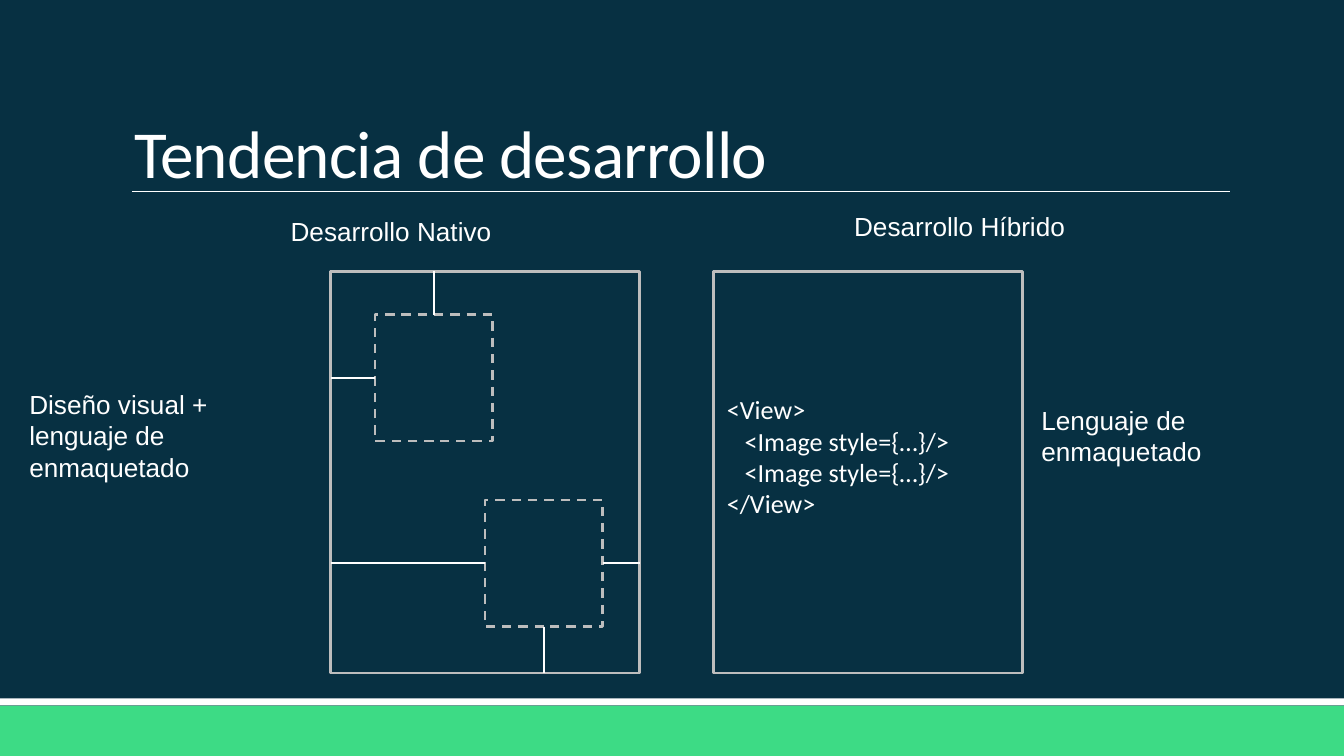
from typing import NamedTuple

from lxml.etree import SubElement
from pptx import Presentation
from pptx.dml.color import RGBColor
from pptx.enum.dml import MSO_LINE_DASH_STYLE as Dash
from pptx.enum.shapes import MSO_CONNECTOR as Connector, MSO_SHAPE as Preset
from pptx.enum.text import MSO_ANCHOR as Anchor, PP_ALIGN as Align
from pptx.oxml.ns import qn
from pptx.util import Pt

NAVY, GREEN, WHITE, GREY = "073042", "3DDB85", "FFFFFF", "BDBDBD"
TOP, LEFT, BOTTOM, RIGHT = range(4)


class Area(NamedTuple):
    left: float
    top: float
    width: float
    height: float

    @property
    def right(self) -> float:
        return self.left + self.width

    @property
    def bottom(self) -> float:
        return self.top + self.height

    def side_middle(self, side: int) -> tuple[float, float]:
        x, y = self.left + self.width / 2, self.top + self.height / 2
        return [(x, self.top), (self.left, y), (x, self.bottom), (self.right, y)][side]


class Label(NamedTuple):
    text: str
    area: Area
    align: Align


class Widget(NamedTuple):
    """A dashed box and the sides that are tied to the screen's edges."""
    area: Area
    sides: tuple[int, ...]


PAGE = Area(0, 0, 720, 405)
NATIVE = Area(177.1, 145.4, 165.6, 215.3)
HYBRID = NATIVE._replace(left=382.3)
WIDGETS = [
    Widget(Area(200.9, 168.5, 62.9, 67.9), (LEFT, TOP)),
    Widget(Area(259.9, 267.8, 62.9, 67.9), (BOTTOM, RIGHT, LEFT)),
]
LABELS = [
    Label("Desarrollo Nativo", Area(64.8, 111.6, 289.4, 24.5), Align.CENTER),
    Label("Desarrollo Híbrido", Area(369.4, 109.2, 289.4, 24.5), Align.CENTER),
    Label("Diseño visual + lenguaje de enmaquetado", Area(8.6, 204.5, 157, 58.3), Align.LEFT),
    Label("Lenguaje de enmaquetado", Area(550.8, 213.1, 154.8, 41), Align.LEFT),
]
CODE = [("<View>", 0), ("<Image style={…}/>", 1), ("<Image style={…}/>", 1), ("</View>", 0)]
CODE_INDENT = 9.5


def paint(target, color: str) -> None:
    """Fill a shape, line or background with one solid colour."""
    target.fill.solid()
    target.fill.fore_color.rgb = RGBColor.from_string(color)


def add_box(page, area: Area, fill: str, line: str | None = None, dash: Dash | None = None):
    box = page.shapes.add_shape(Preset.RECTANGLE, *map(Pt, area))
    box.shadow.inherit = False
    paint(box, fill)
    if line:
        paint(box.line, line)
        box.line.width = Pt(1.25)
        box.line.dash_style = dash
    else:
        box.line.fill.background()
    return box


def add_line(page, start: tuple[float, float], end: tuple[float, float], width: float):
    line = page.shapes.add_connector(Connector.STRAIGHT, *map(Pt, (*start, *end)))
    paint(line.line, WHITE)
    line.line.width = Pt(width)
    SubElement(line._element.spPr, qn("a:effectLst"))
    return line


def write(para, text: str, *, font: str = "Arial", size: float = 14, align: Align = Align.LEFT,
          indent: float = 0, spacing: float = 0) -> None:
    para.alignment = align
    if indent:
        para._p.get_or_add_pPr().set("marL", str(Pt(indent)))
    span = para.add_run()
    span.text = text
    span.font.name, span.font.size = font, Pt(size)
    span.font.color.rgb = RGBColor.from_string(WHITE)
    if spacing:
        span.font._element.set("spc", str(round(spacing * 100)))


def add_text(page, area: Area, text: str, **style):
    frame = page.shapes.add_textbox(*map(Pt, area)).text_frame
    frame.word_wrap = True
    write(frame.paragraphs[0], text, **style)
    return frame


def add_code(box) -> None:
    frame = box.text_frame
    frame.word_wrap = True
    frame.vertical_anchor = Anchor.MIDDLE
    frame.margin_bottom = Pt(20.6)
    for number, (text, level) in enumerate(CODE):
        para = frame.add_paragraph() if number else frame.paragraphs[0]
        write(para, text, font="Calibri", indent=level * CODE_INDENT)


def add_guide(page, box, area: Area, side: int, screen: Area) -> None:
    """Tie one side of a widget to the nearest edge of the screen."""
    x, y = area.side_middle(side)
    end = [(x, screen.top), (screen.left, y), (x, screen.bottom), (screen.right, y)][side]
    add_line(page, (x, y), end, 1).begin_connect(box, side)


def main() -> None:
    deck = Presentation()
    deck.slide_width, deck.slide_height = Pt(PAGE.width), Pt(PAGE.height)
    page = deck.slides.add_slide(deck.slide_layouts[6])
    paint(page.background, NAVY)

    add_box(page, Area(0, 378, PAGE.width, 27), GREEN)
    add_box(page, Area(0, 374.2, PAGE.width, 3.8), WHITE)
    add_line(page, (70.6, 102.6), (658.8, 102.6), 0.5)

    title = add_text(page, Area(64.8, 17.3, 594, 85.7), "Tendencia de desarrollo",
                     font="Calibri", size=36, spacing=-0.4)
    title.vertical_anchor = Anchor.BOTTOM
    title.margin_bottom = 0

    add_box(page, NATIVE, NAVY, GREY)
    add_code(add_box(page, HYBRID, NAVY, GREY))
    for area, sides in WIDGETS:
        box = add_box(page, area, NAVY, GREY, Dash.DASH)
        for side in sides:
            add_guide(page, box, area, side, NATIVE)
    for text, area, align in LABELS:
        add_text(page, area, text, align=align)

    deck.save("out.pptx")


if __name__ == "__main__":
    main()
